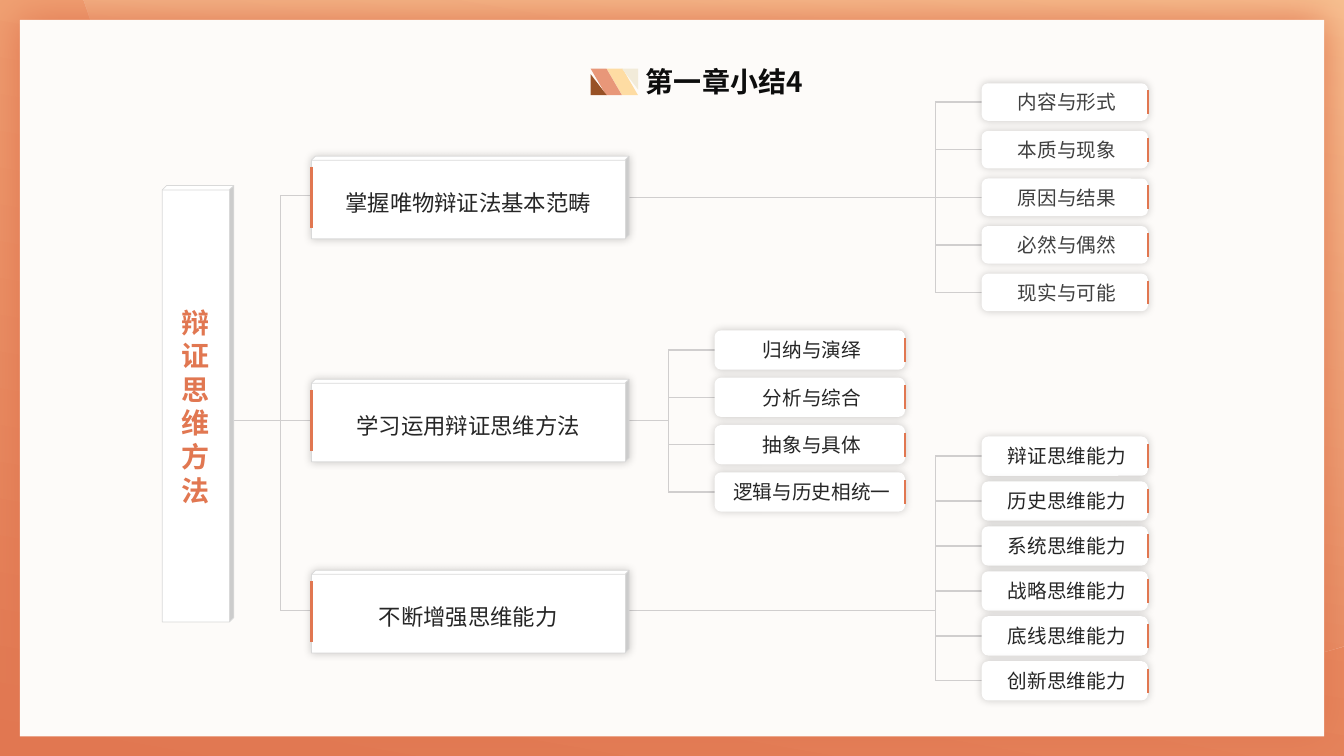
from lxml import etree
from pptx import Presentation
from pptx.dml.color import RGBColor
from pptx.enum.shapes import MSO_CONNECTOR, MSO_SHAPE
from pptx.enum.text import MSO_ANCHOR, PP_ALIGN
from pptx.oxml.ns import qn
from pptx.util import Pt

STRAIGHT = MSO_CONNECTOR.STRAIGHT
RECTANGLE, ROUNDED, CUBE = MSO_SHAPE.RECTANGLE, MSO_SHAPE.ROUNDED_RECTANGLE, MSO_SHAPE.CUBE
PARALLELOGRAM, TRIANGLE = MSO_SHAPE.PARALLELOGRAM, MSO_SHAPE.RIGHT_TRIANGLE
MIDDLE, CENTER, LEFT = MSO_ANCHOR.MIDDLE, PP_ALIGN.CENTER, PP_ALIGN.LEFT
FONT = "Noto Sans CJK SC"
COLORS = {
    "accent": "E17751", "peach": "F4AD7D", "sand": "FDD5A6", "paper": "FDFBF9",
    "white": "FFFFFF", "black": "000000", "title": "0D0D0D", "text": "262626",
    "soft text": "404040", "connector": "D0CECE", "edge": "D9D9D9",
    "yellow": "FEDCA3", "cream": "F2EBD9", "salmon": "E89779", "brown": "985125",
}
RGB = {name: RGBColor.from_string(value) for name, value in COLORS.items()}

presentation = Presentation()
presentation.slide_width, presentation.slide_height = Pt(960), Pt(540)
slide = presentation.slides.add_slide(presentation.slide_layouts[6])
shapes = slide.shapes


def add_line(x1, y1, x2, y2, color="connector", width=1):
    line = shapes.add_connector(STRAIGHT, Pt(x1), Pt(y1), Pt(x2), Pt(y2))
    line.line.color.rgb = RGB[color]
    line.line.width = Pt(width)
    etree.SubElement(line._element.spPr, qn("a:effectLst"))


def style_shape(shape, fill=None, edge=None, shadow=None, text=None, size=14,
                color="text", bold=False, align=CENTER, spacing=None, indent=0):
    """Set fill, edge, shadow (colour, opacity %, blur in points) and text."""
    if fill:
        shape.fill.solid()
        shape.fill.fore_color.rgb = RGB[fill]
    if edge:
        shape.line.color.rgb = RGB[edge]
        shape.line.width = Pt(0.5)
    else:
        shape.line.fill.background()
    shape.shadow.inherit = False
    if shadow:
        shadow_color, opacity, blur = shadow
        effects = shape._element.spPr.find(qn("a:effectLst"))
        outer = etree.SubElement(effects, qn("a:outerShdw"), blurRad=str(Pt(blur)),
                                 dist="0", dir="18900000", algn="ctr", rotWithShape="0")
        tint = etree.SubElement(outer, qn("a:srgbClr"), val=COLORS[shadow_color])
        etree.SubElement(tint, qn("a:alpha"), val=str(opacity * 1000))
    if text:
        frame = shape.text_frame
        frame.word_wrap = True
        frame.vertical_anchor = MIDDLE
        paragraph = frame.paragraphs[0]
        paragraph.alignment = align
        paragraph.line_spacing = spacing
        if indent:
            paragraph._p.get_or_add_pPr().set("marL", str(Pt(indent)))
        run = paragraph.add_run()
        run.text = text
        for name, value in {"name": FONT, "size": Pt(size), "bold": bold}.items():
            setattr(run.font, name, value)
        run.font.color.rgb = RGB[color]
        etree.SubElement(run._r.get_or_add_rPr(), qn("a:ea"), typeface=FONT)


# Background: gradient sheet, curved sweep, paper panel
sheet = shapes.add_shape(RECTANGLE, 0, 0, Pt(960), Pt(540))

curves = [
    [(960, 460.8), (946.8, 465.1), (879.8, 486), (735.8, 496.8)],
    [(735.8, 496.8), (429.8, 496.8), (169.9, 303.1), (70.6, 31.7)],
]
steps = 24
sweep_points = [(960, 0), (960, 460.8)]
for start, pull_out, pull_in, end in curves:
    for step in range(1, steps + 1):
        t = step / steps
        weights = ((1 - t) ** 3, 3 * t * (1 - t) ** 2, 3 * t * t * (1 - t), t ** 3)
        controls = (start, pull_out, pull_in, end)
        sweep_points.append(tuple(
            sum(weight * point[axis] for weight, point in zip(weights, controls))
            for axis in (0, 1)))
builder = shapes.build_freeform(Pt(59.8), 0)
builder.add_line_segments([(Pt(x), Pt(y)) for x, y in sweep_points], close=True)
sweep = builder.convert_to_shape()

for shape, end_color in ((sheet, "peach"), (sweep, "sand")):
    style_shape(shape)
    shape.fill.gradient()
    shape.fill.gradient_angle = 80
    for stop, position, name in zip(shape.fill.gradient_stops, (0, 1), ("accent", end_color)):
        stop.position = position
        stop.color.rgb = RGB[name]
sweep_end = sweep._element.spPr.findall(".//" + qn("a:srgbClr"))[-1]
etree.SubElement(sweep_end, qn("a:alpha"), val="50000")

panel = shapes.add_shape(RECTANGLE, Pt(14.2), Pt(14.2), Pt(931.6), Pt(511.8))
style_shape(panel, "paper", shadow=("accent", 100, 30))

# Title and its emblem
title = shapes.add_textbox(Pt(454.3), Pt(42.5), Pt(157.7), Pt(31.7))
style_shape(title, text="第一章小结4", size=20, color="title", bold=True, align=LEFT)

emblem = [
    (PARALLELOGRAM, 433.4, 49, 22.4, 19, "yellow", ("flipH",)),
    (TRIANGLE, 444.3, 49, 11.5, 15, "cream", ("flipH", "flipV")),
    (PARALLELOGRAM, 421.9, 49, 22.4, 19, "salmon", ("flipH",)),
    (TRIANGLE, 421.9, 53, 11.5, 15, "brown", ()),
]
for kind, left, top, width, height, fill, flips in emblem:
    piece = shapes.add_shape(kind, Pt(left), Pt(top), Pt(width), Pt(height))
    if kind == PARALLELOGRAM:
        piece.adjustments[0] = 0.585
    for flip in flips:
        piece._element.spPr.xfrm.set(flip, "1")
    style_shape(piece, fill)

# Root topic and the lines to its three branches
branch_x, root_y = 200.2, 300.2
for y in (139.7, root_y, 436.3):
    add_line(222.5, y, branch_x, y)
add_line(branch_x, 139.7, branch_x, 436.3)
add_line(branch_x, root_y, 157, root_y)
root = shapes.add_shape(CUBE, Pt(115.9), Pt(132.5), Pt(51.1), Pt(311.8))
root.adjustments[0] = 0.063
style_shape(root, "white", "edge", text="辩证思维方法", size=20, color="accent",
            bold=True, spacing=Pt(24))

# Branches: topic, topic top, stem y, stem start x, trunk x, first card centre,
# pitch, card width, card height, text colour, cards
card_shadow = ("black", 20, 6)
branches = [
    ("掌握唯物辩证法基本范畴", 111.6, 140.9, 399, 668.2, 72.9, 34, 118.8, 26.8, "soft text",
     ["内容与形式", "本质与现象", "原因与结果", "必然与偶然", "现实与可能"]),
    ("学习运用辩证思维方法", 270.9, root_y, 351, 477.4, 250, 33.8, 136.1, 28.1, "text",
     ["归纳与演绎", "分析与综合", "抽象与具体", "逻辑与历史相统一"]),
    ("不断增强思维能力", 407.4, 436.3, 412, 668.2, 325.8, 32.1, 118.8, 28.1, "text",
     ["辩证思维能力", "历史思维能力", "系统思维能力", "战略思维能力", "底线思维能力", "创新思维能力"]),
]
for (topic, topic_top, stem_y, stem_x, trunk_x, first_y, pitch,
     card_width, card_height, color, cards) in branches:
    add_line(trunk_x, stem_y, stem_x, stem_y)
    add_line(trunk_x, first_y, trunk_x, first_y + pitch * (len(cards) - 1))
    card_left = trunk_x + 33
    card_right = card_left + card_width
    for index, card_text in enumerate(cards):
        y = first_y + index * pitch
        add_line(trunk_x + 42.5, y, trunk_x, y)
        card = shapes.add_shape(ROUNDED, Pt(card_left), Pt(y - card_height / 2),
                                Pt(card_width), Pt(card_height))
        style_shape(card, "white", shadow=card_shadow, text=card_text, color=color, indent=3)
        add_line(card_right, y - 8.5, card_right, y + 8.5, "accent", 2)

    block = shapes.add_shape(CUBE, Pt(222.5), Pt(topic_top), Pt(226.8), Pt(59))
    block.adjustments[0] = 0.048
    style_shape(block, "white", "edge", card_shadow, topic, 16, spacing=1.2)
    add_line(222.5, topic_top + 7.5, 222.5, topic_top + 51, "accent", 2)

presentation.save("out.pptx")
